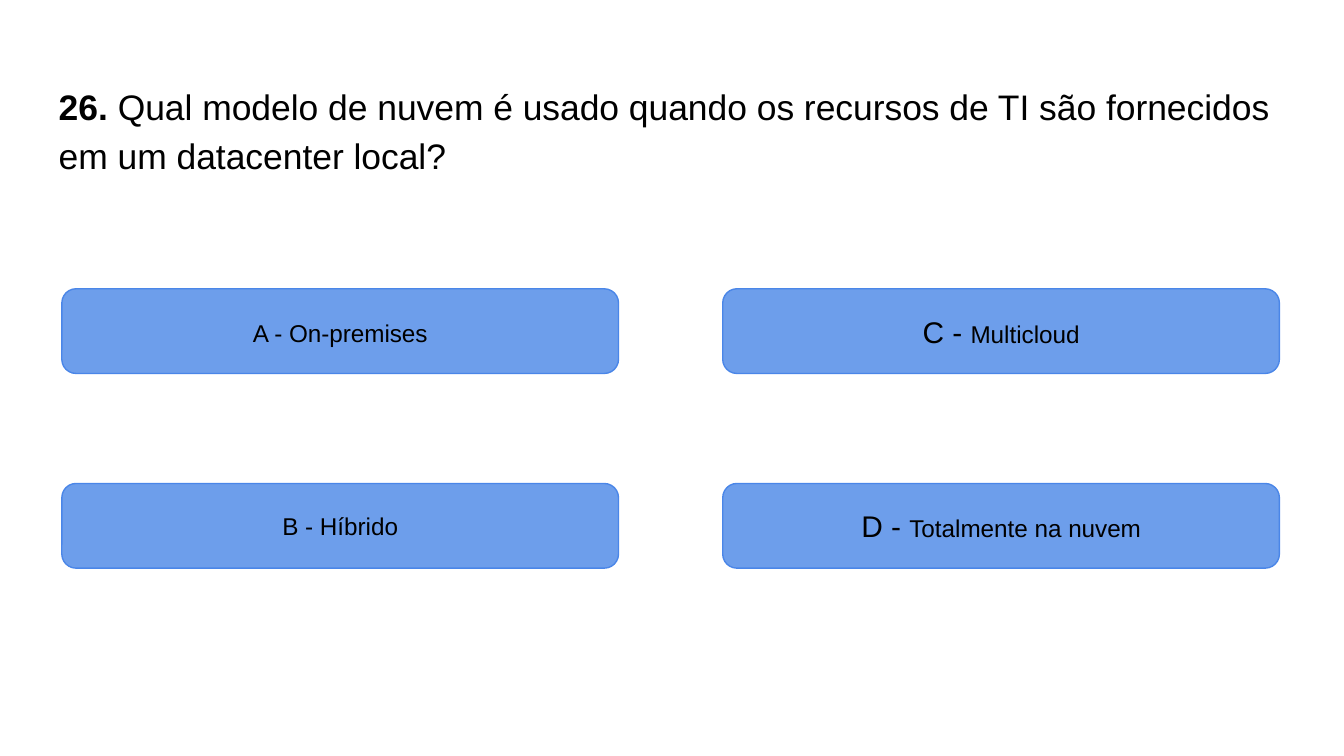
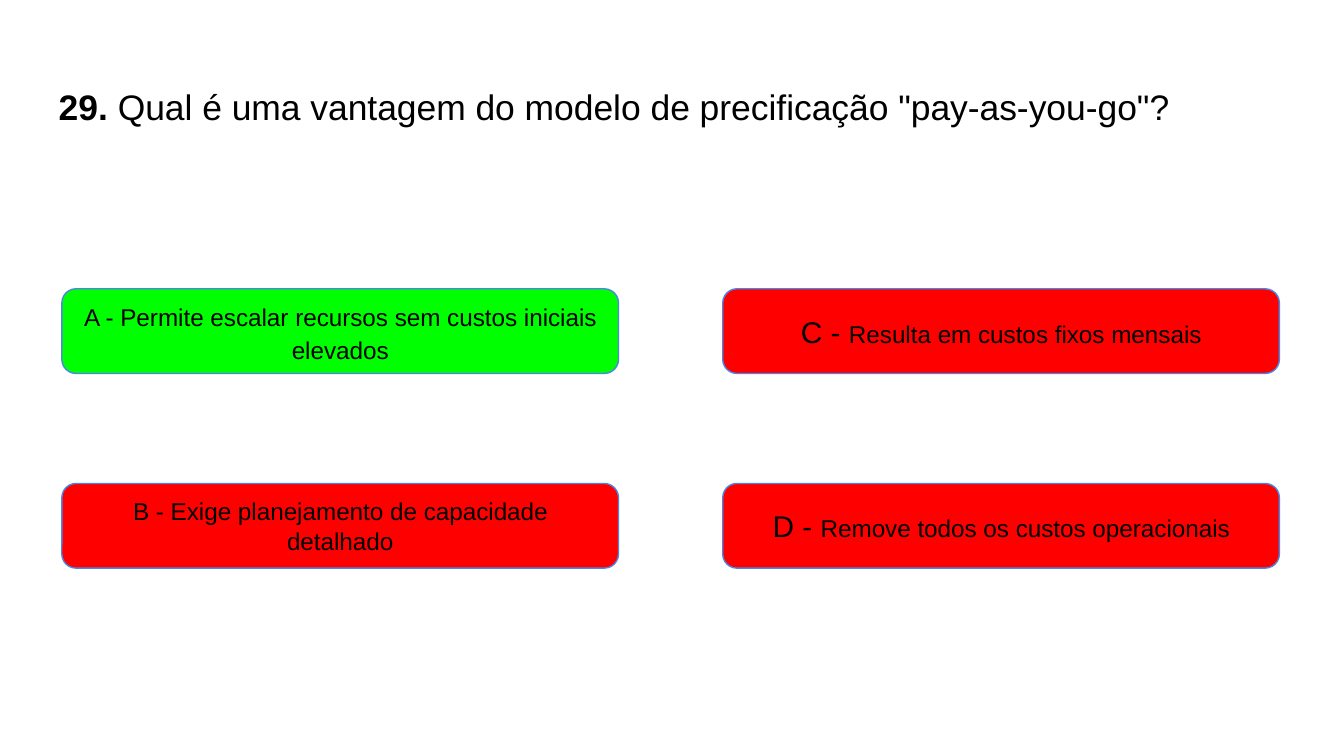
from pptx import Presentation
from pptx.dml.color import RGBColor
from pptx.enum.shapes import MSO_SHAPE
from pptx.enum.text import MSO_ANCHOR, MSO_AUTO_SIZE, PP_ALIGN
from pptx.util import Cm, Pt

ROUNDED = MSO_SHAPE.ROUNDED_RECTANGLE
TOP, MIDDLE = MSO_ANCHOR.TOP, MSO_ANCHOR.MIDDLE
LEFT, CENTER = PP_ALIGN.LEFT, PP_ALIGN.CENTER
NO_AUTOFIT = MSO_AUTO_SIZE.NONE

COLORS = {
    "text": "000000",
    "outline": "4A86E8",
    "neutral": "6D9EEB",
    "right": "00FF00",
    "wrong": "FF0000",
}
FONT = "Arial"
INSET = Cm(0.25)
TITLE_ONLY = 5

TITLE_BOX = (Cm(0.86), Cm(1.24), Cm(23.67), Cm(1.6))
ANSWERS_BOX = (Cm(1.17), Cm(5.46), Cm(23.01), Cm(5.28))
ANSWER_WIDTH, ANSWER_HEIGHT = Cm(10.52), Cm(1.6)
LABEL_SIZES = (13, 16)  # left column, right column
ANSWER_SIZE = 13
LOOSE_SPACING = 1.15

QUESTIONS = [
    {
        "number": "26.",
        "text": "Qual modelo de nuvem é usado quando os recursos de TI "
                "são fornecidos em um datacenter local?",
        "answers": [
            ("A", "On-premises", "neutral"),
            ("B", "Híbrido", "neutral"),
            ("C", "Multicloud", "neutral"),
            ("D", "Totalmente na nuvem", "neutral"),
        ],
    },
    {
        "number": "29.",
        "text": 'Qual é uma vantagem do modelo de precificação "pay-as-you-go"?',
        "answers": [
            ("A", "Permite escalar recursos sem custos iniciais elevados", "right"),
            ("B", "Exige planejamento de capacidade detalhado", "wrong"),
            ("C", "Resulta em custos fixos mensais", "wrong"),
            ("D", "Remove todos os custos operacionais", "wrong"),
        ],
    },
]


def color(name):
    return RGBColor.from_string(COLORS[name])


def write_line(shape, spans, align, anchor, spacing):
    """Fill a shape with one paragraph of (text, size, bold) spans."""
    frame = shape.text_frame
    frame.word_wrap = True
    frame.auto_size = NO_AUTOFIT
    frame.vertical_anchor = anchor
    frame.margin_left = frame.margin_right = INSET
    frame.margin_top = frame.margin_bottom = INSET
    para = frame.paragraphs[0]
    para.alignment = align
    para.line_spacing = spacing
    para.space_before = Pt(0)
    for text, size, bold in spans:
        span = para.add_run()
        span.text = text
        span.font.name = FONT
        span.font.size = Pt(size)
        span.font.bold = bold
        span.font.color.rgb = color("text")


def add_question(page, box, number, text):
    title = page.shapes.title
    title.left, title.top, title.width, title.height = box
    spans = [(f"{number} ", 19, True), (text, 19, False)]
    write_line(title, spans, LEFT, TOP, LOOSE_SPACING)


def add_answers(page, box, answers):
    """Place the four answers in the corners of the box, column by column."""
    left, top, width, height = box
    for index, (letter, text, fill) in enumerate(answers):
        column, row = divmod(index, 2)
        answer = page.shapes.add_shape(
            ROUNDED,
            left + column * (width - ANSWER_WIDTH),
            top + row * (height - ANSWER_HEIGHT),
            ANSWER_WIDTH, ANSWER_HEIGHT)
        answer.shadow.inherit = False
        answer.fill.solid()
        answer.fill.fore_color.rgb = color(fill)
        answer.line.color.rgb = color("outline")
        answer.line.width = Pt(0.75)
        spans = [(f"{letter} - ", LABEL_SIZES[column], False),
                 (text, ANSWER_SIZE, False)]
        spacing = LOOSE_SPACING if index == 0 else 1.0
        write_line(answer, spans, CENTER, MIDDLE, spacing)


def add_question_page(deck, question):
    page = deck.slides.add_slide(deck.slide_layouts[TITLE_ONLY])
    add_question(page, TITLE_BOX, question["number"], question["text"])
    add_answers(page, ANSWERS_BOX, question["answers"])


def main():
    deck = Presentation()
    deck.slide_width, deck.slide_height = Cm(25.4), Cm(14.29)
    for question in QUESTIONS:
        add_question_page(deck, question)
    deck.save("out.pptx")


if __name__ == "__main__":
    main()
